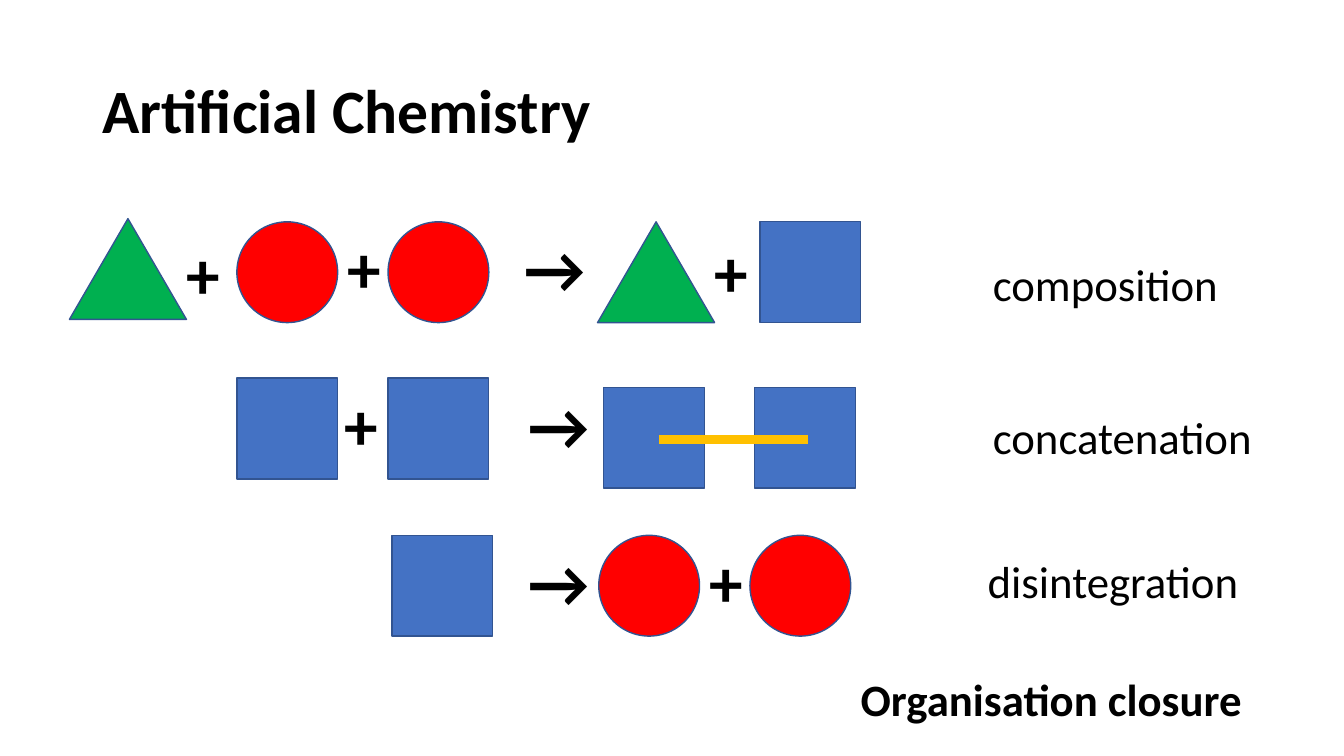
from pptx import Presentation
from pptx.dml.color import RGBColor
from pptx.enum.shapes import MSO_CONNECTOR, MSO_SHAPE
from pptx.enum.text import MSO_ANCHOR, PP_ALIGN
from pptx.oxml.ns import qn
from pptx.util import Cm, Pt
from lxml import etree

COLORS = {"red": "FF0000", "green": "00B050", "blue": "4472C4",
          "edge": "325491", "bond": "FFC000", "ink": "000000"}
FONT = "Calibri"
MID, TOP = MSO_ANCHOR.MIDDLE, MSO_ANCHOR.TOP
LEFT, CENTER = PP_ALIGN.LEFT, PP_ALIGN.CENTER

# Molecules: preset, colour, width in cm
SIZE = 2.54
KINDS = {"circle": (MSO_SHAPE.OVAL, "red", SIZE),
         "triangle": (MSO_SHAPE.ISOSCELES_TRIANGLE, "green", 2.95),
         "square": (MSO_SHAPE.RECTANGLE, "blue", SIZE)}
SIGNS = {"+": 1.37, "→": 2.06}
SIGN_H = 2.31

# Reactions: top, then (part, left, shift down), all in cm
ROWS = [
    (5.59, [("triangle", 1.75, -0.08), ("+", 4.45, 0.13), ("circle", 5.97, 0),
            ("+", 8.51, 0), ("circle", 9.78, 0), ("→", 12.98, 0),
            ("triangle", 15.06, 0), ("+", 17.75, 0.08), ("square", 19.15, 0)]),
    (9.53, [("square", 5.97, 0), ("+", 8.43, 0), ("square", 9.78, 0),
            ("→", 13.08, 0), ("square", 15.21, 0.23), ("square", 19.02, 0.23)]),
    (13.49, [("square", 9.88, 0), ("→", 13.08, 0), ("circle", 15.09, 0),
             ("+", 17.63, 0), ("circle", 18.9, 0)]),
]
BOND = (16.61, 20.37, 11.07)  # from x, to x, y

# Labels: text, left, top, width
LABELS = [("composition", 24.77, 6.35, 6.25),
          ("concatenation", 24.77, 10.21, 7.11),
          ("disintegration", 24.64, 13.82, 6.91)]
LABEL_H = 1.62

deck = Presentation()
deck.slide_width, deck.slide_height = Cm(33.87), Cm(19.05)
slide = deck.slides.add_slide(deck.slide_layouts[6])
shapes = slide.shapes


def color(name):
    return RGBColor.from_string(COLORS[name])


def add_text(text, x, y, w, h, size, bold=False, wrap=False,
             align=LEFT, anchor=TOP, space=None):
    frame = shapes.add_textbox(Cm(x), Cm(y), Cm(w), Cm(h)).text_frame
    frame.word_wrap = wrap
    frame.vertical_anchor = anchor
    frame.text = text
    para = frame.paragraphs[0]
    para.alignment = align
    para.line_spacing = space
    font = para.runs[0].font
    font.name, font.size, font.bold = FONT, Pt(size), bold
    font.color.rgb = color("ink")


def add_part(kind, x, y):
    preset, fill, w = KINDS[kind]
    part = shapes.add_shape(preset, Cm(x), Cm(y), Cm(w), Cm(SIZE))
    part.shadow.inherit = False
    part.fill.solid()
    part.fill.fore_color.rgb = color(fill)
    part.line.color.rgb = color("edge")
    part.line.width = Pt(1)


# Title
add_text("Artificial Chemistry", 2.34, 1.02, 29.21, 3.68, 44,
         bold=True, wrap=True, anchor=MID, space=0.9)

# Reactions
for top, parts in ROWS:
    for kind, x, shift in parts:
        if kind in SIGNS:
            add_text(kind, x, top + shift, SIGNS[kind], SIGN_H, 48, bold=True)
        else:
            add_part(kind, x, top + shift)

# Bond between the joined squares
x1, x2, y = BOND
bond = shapes.add_connector(MSO_CONNECTOR.STRAIGHT, Cm(x1), Cm(y), Cm(x2), Cm(y))
bond.line.color.rgb = color("bond")
bond.line.width = Pt(6.5)
etree.SubElement(bond._element.spPr, qn("a:effectLst"))

# Labels and closing line
for text, x, y, w in LABELS:
    add_text(text, x, y, w, LABEL_H, 32)
add_text("Organisation closure", 19.13, 16.79, 14.73, LABEL_H, 32,
         bold=True, wrap=True, align=CENTER)

deck.save("out.pptx")
